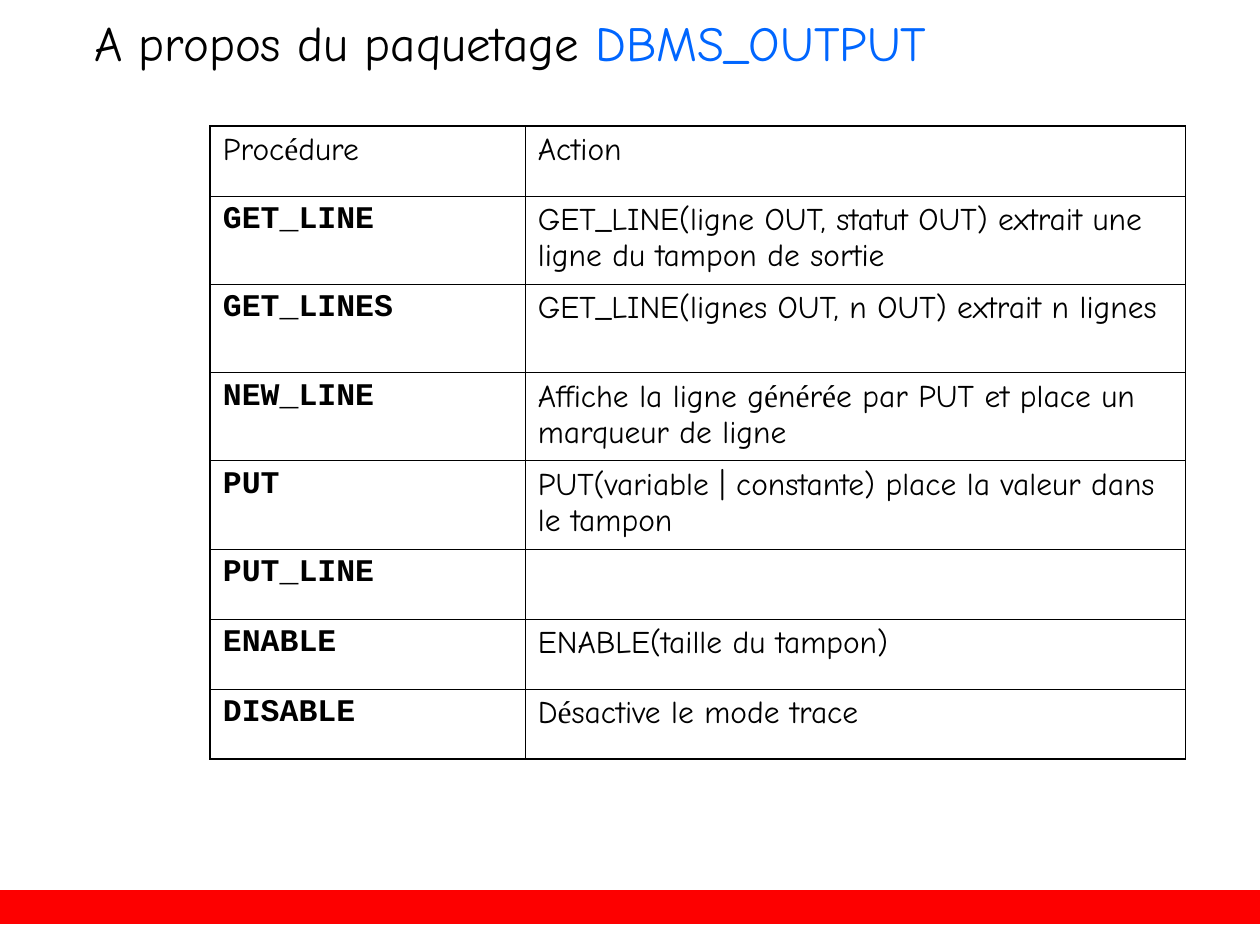
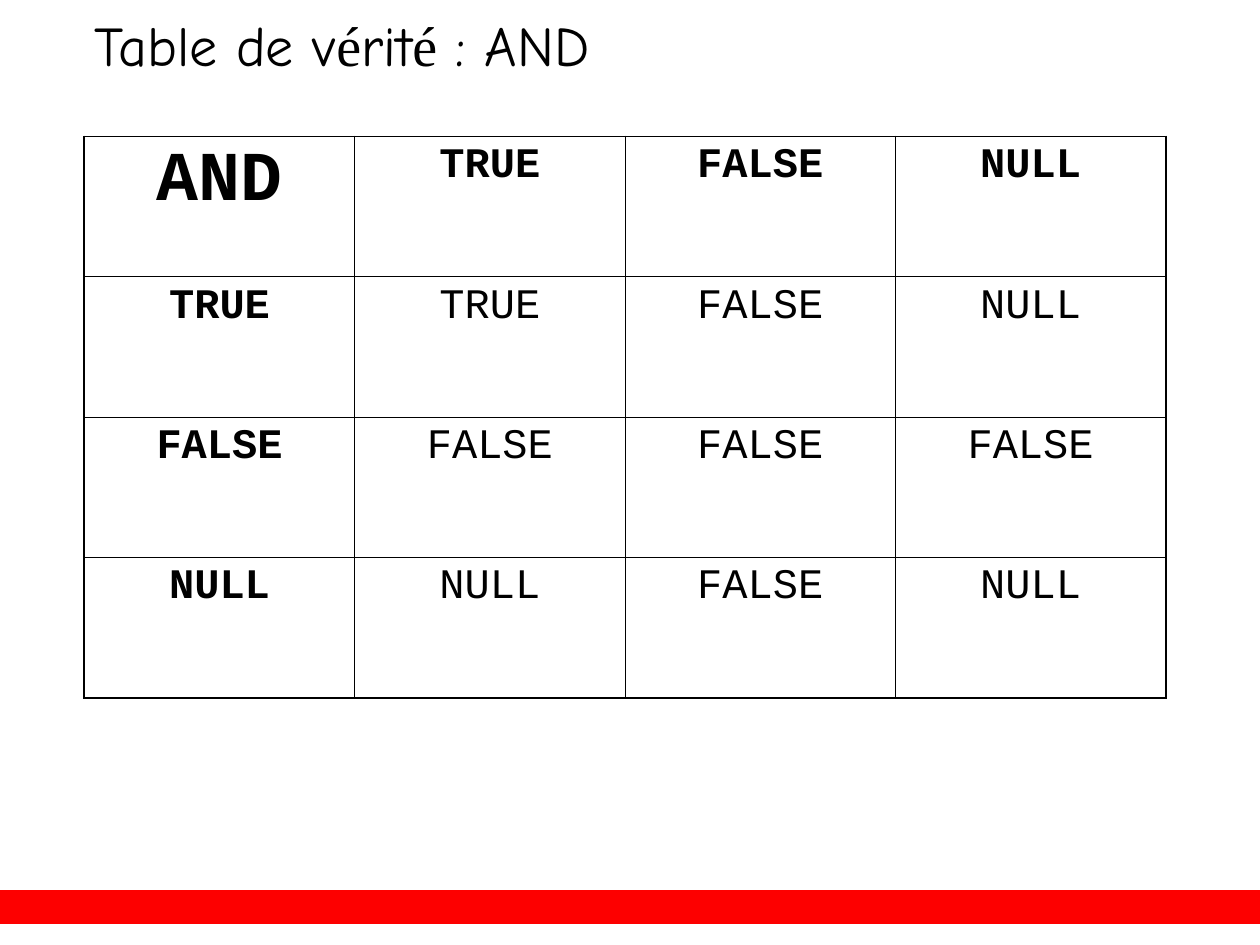
from itertools import groupby

from lxml import etree
from pptx import Presentation
from pptx.dml.color import RGBColor
from pptx.enum.shapes import MSO_SHAPE
from pptx.enum.text import MSO_ANCHOR, PP_ALIGN
from pptx.oxml.ns import qn
from pptx.util import Cm, Pt

RECT = MSO_SHAPE.RECTANGLE
TOP = MSO_ANCHOR.TOP
LEFT = PP_ALIGN.LEFT
MID = PP_ALIGN.CENTER

HUES = {"ink": "000000", "blue": "0066FF", "band": "FD0000"}
BODY, CODE, ACCENT = "Comic Neue", "Courier New", "Times New Roman"
THICK, THIN = Pt(1.08), Pt(0.45)


def write(para, text, size, font=BODY, bold=False, hue="ink"):
    """Add text as runs, giving each é the accent font."""
    for sharp, part in groupby(text, lambda c: c == "é"):
        run = para.add_run()
        run.text = "".join(part)
        run.font.name = ACCENT if sharp else font
        run.font.size = Pt(size)
        run.font.bold = bold
        run.font.color.rgb = RGBColor.from_string(HUES[hue])


def grid(slide, left, top, wides, highs):
    """Add an unfilled table with thin inner and thick outer borders."""
    rows, cols = len(highs), len(wides)
    table = slide.shapes.add_table(rows, cols, Cm(left), Cm(top),
                                   Cm(sum(wides)), Cm(sum(highs))).table
    table.first_row = table.horz_banding = False
    for col, wide in zip(table.columns, wides):
        col.width = Cm(wide)
    for row, high in zip(table.rows, highs):
        row.height = Cm(high)
    for r in range(rows):
        for c in range(cols):
            cell = table.cell(r, c)
            props = cell._tc.get_or_add_tcPr()
            outer = {"L": c == 0, "R": c == cols - 1,
                     "T": r == 0, "B": r == rows - 1}
            for side, edge in outer.items():
                line = etree.SubElement(props, qn("a:ln" + side),
                                        w=str(THICK if edge else THIN))
                fill = etree.SubElement(line, qn("a:solidFill"))
                etree.SubElement(fill, qn("a:srgbClr"), val=HUES["ink"])
            cell.fill.background()
            cell.vertical_anchor = TOP
    return table


deck = Presentation()
deck.slide_width, deck.slide_height = Cm(25.4), Cm(19.05)

# Shared band and title on each slide
titles = [
    (28, [("A propos du paquetage ", "ink"), ("DBMS_OUTPUT", "blue")]),
    (32, [("Table de vérité : AND", "ink")]),
]
slides = []
for size, parts in titles:
    slide = deck.slides.add_slide(deck.slide_layouts[6])
    slides.append(slide)
    band = slide.shapes.add_shape(RECT, 0, Cm(17.95), deck.slide_width, Cm(0.67))
    band.shadow.inherit = False
    band.fill.solid()
    band.fill.fore_color.rgb = RGBColor.from_string(HUES["band"])
    band.line.color.rgb = RGBColor.from_string(HUES["band"])
    band.line.width = Pt(1)

    frame = slide.shapes.add_textbox(Cm(1.9), Cm(0.43), Cm(20.75), Cm(1.47)).text_frame
    frame.word_wrap = True
    frame.vertical_anchor = TOP
    frame.margin_left = frame.margin_right = 0
    frame.margin_top = frame.margin_bottom = 0
    para = frame.paragraphs[0]
    para.line_spacing = 0.85
    for text, hue in parts:
        write(para, text, size, hue=hue)

# Slide 1: procedures of the package
procs = [
    ("Procédure", "Action"),
    ("GET_LINE", "GET_LINE(ligne OUT, statut OUT) extrait une ligne du tampon de sortie"),
    ("GET_LINES", "GET_LINE(lignes OUT, n OUT) extrait n lignes"),
    ("NEW_LINE", "Affiche la ligne générée par PUT et place un marqueur de ligne"),
    ("PUT", "PUT(variable | constante) place la valeur dans le tampon"),
    ("PUT_LINE", ""),
    ("ENABLE", "ENABLE(taille du tampon)"),
    ("DISABLE", "Désactive le mode trace"),
]
short, tall = 1.41, 1.78
table = grid(slides[0], 4.24, 2.54, [6.35, 13.31],
             [short] + [tall] * 4 + [short] * 3)
for r, row in enumerate(procs):
    for c, text in enumerate(row):
        name = r > 0 and c == 0
        para = table.cell(r, c).text_frame.paragraphs[0]
        para.alignment = LEFT
        write(para, text, 18, CODE if name else BODY, name)

# Slide 2: truth table
truth = [
    ("AND", "TRUE", "FALSE", "NULL"),
    ("TRUE", "TRUE", "FALSE", "NULL"),
    ("FALSE", "FALSE", "FALSE", "FALSE"),
    ("NULL", "NULL", "FALSE", "NULL"),
]
table = grid(slides[1], 1.7, 2.75, [5.45] * 4, [2.83] * 4)
for r, row in enumerate(truth):
    for c, text in enumerate(row):
        para = table.cell(r, c).text_frame.paragraphs[0]
        para.alignment = MID
        write(para, text, 40 if r == c == 0 else 24, CODE, r == 0 or c == 0)

deck.save("out.pptx")
